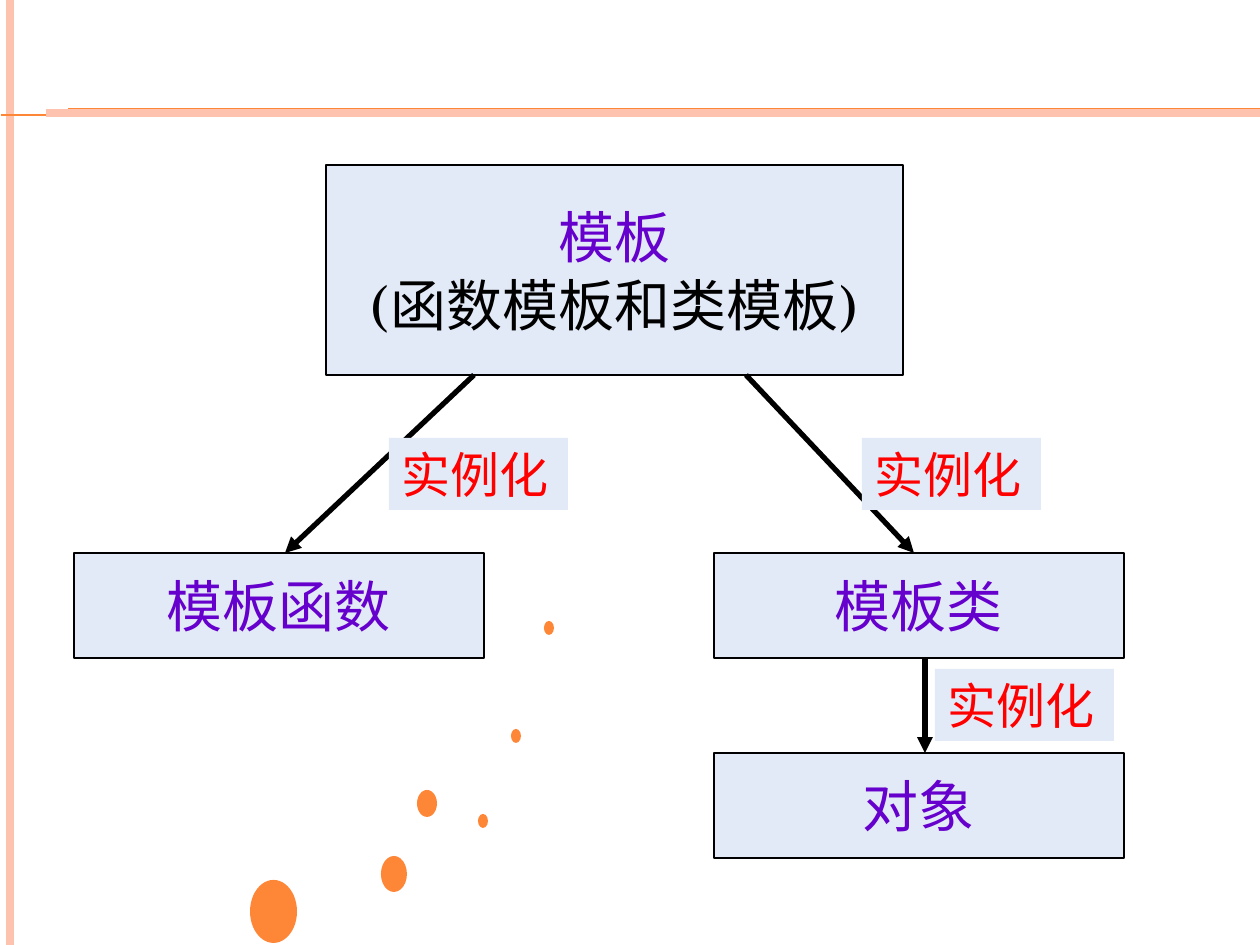
"""Build a slide showing how templates are instantiated into functions, classes and objects."""
from dataclasses import dataclass

from pptx import Presentation
from pptx.dml.color import RGBColor
from pptx.enum.shapes import MSO_CONNECTOR, MSO_SHAPE
from pptx.enum.text import MSO_ANCHOR, PP_ALIGN
from pptx.oxml.xmlchemy import OxmlElement
from pptx.util import Pt


@dataclass(frozen=True)
class Theme:
    font: str = "TeX Gyre Schola"
    orange: str = "FE8637"
    peach: str = "FEC3AE"
    pale: str = "E3EAF7"
    black: str = "000000"
    purple: str = "6600CC"
    red: str = "FF0000"
    node: int = 32
    label: int = 28


theme = Theme()
PX = 914400 // 126


def add_line(ends, color, width, arrow=False):
    line = slide.shapes.add_connector(MSO_CONNECTOR.STRAIGHT, *(v * PX for v in ends))
    line.line.color.rgb = RGBColor.from_string(color)
    line.line.width = Pt(width)
    if arrow:
        tail = OxmlElement("a:tailEnd")
        tail.set("type", "triangle")
        line.line._get_or_add_ln().append(tail)
    line._element.spPr.append(OxmlElement("a:effectLst"))


def add_box(kind, place, fill, border=None, text="", size=0, colors=()):
    box = slide.shapes.add_shape(kind, *(v * PX for v in place))
    box.shadow.inherit = False
    box.fill.solid()
    box.fill.fore_color.rgb = RGBColor.from_string(fill)
    if border:
        box.line.color.rgb = RGBColor.from_string(border)
        box.line.width = Pt(0.75)
    else:
        box.line.fill.background()
    if text:
        frame = box.text_frame
        frame.text = text
        frame.word_wrap = False
        frame.vertical_anchor = MSO_ANCHOR.MIDDLE if border else MSO_ANCHOR.TOP
        for para, color in zip(frame.paragraphs, colors):
            para.alignment = PP_ALIGN.CENTER if border else PP_ALIGN.LEFT
            for run in para.runs:
                run.font.name = theme.font
                run.font.size = Pt(size)
                run.font.color.rgb = RGBColor.from_string(color)


deck = Presentation()
deck.slide_width = 1260 * PX
deck.slide_height = 945 * PX
slide = deck.slides.add_slide(deck.slide_layouts[6])

add_line((10, 0, 10, 945), theme.peach, 4.5)
for left, top in ((1, 115), (24, 115), (68, 109)):
    add_line((left, top, 1260, top), theme.orange, 0.75)
add_line((46, 113, 1260, 113), theme.peach, 4.5)

nodes = (
    ((326, 165, 577, 210), "模板\n(函数模板和类模板)"),
    ((74, 553, 410, 105), "模板函数"),
    ((714, 553, 410, 105), "模板类"),
    ((714, 753, 410, 105), "对象"),
)
for place, text in nodes:
    add_box(MSO_SHAPE.RECTANGLE, place, theme.pale, theme.black, text,
            theme.node, (theme.purple, theme.black))

for ends in ((474, 375, 285, 553), (746, 375, 914, 553), (925, 658, 925, 753)):
    add_line(ends, theme.black, 3, arrow=True)

for left, top in ((389, 438), (862, 438), (935, 669)):
    add_box(MSO_SHAPE.RECTANGLE, (left, top, 179, 72), theme.pale,
            text="实例化", size=theme.label, colors=(theme.red,))

dots = (
    (250, 880, 47, 63),
    (511, 729, 10, 14),
    (417, 790, 20, 27),
    (381, 856, 26, 36),
    (478, 814, 10, 14),
    (544, 621, 10, 14),
)
for place in dots:
    add_box(MSO_SHAPE.OVAL, place, theme.orange)

deck.save("out.pptx")
